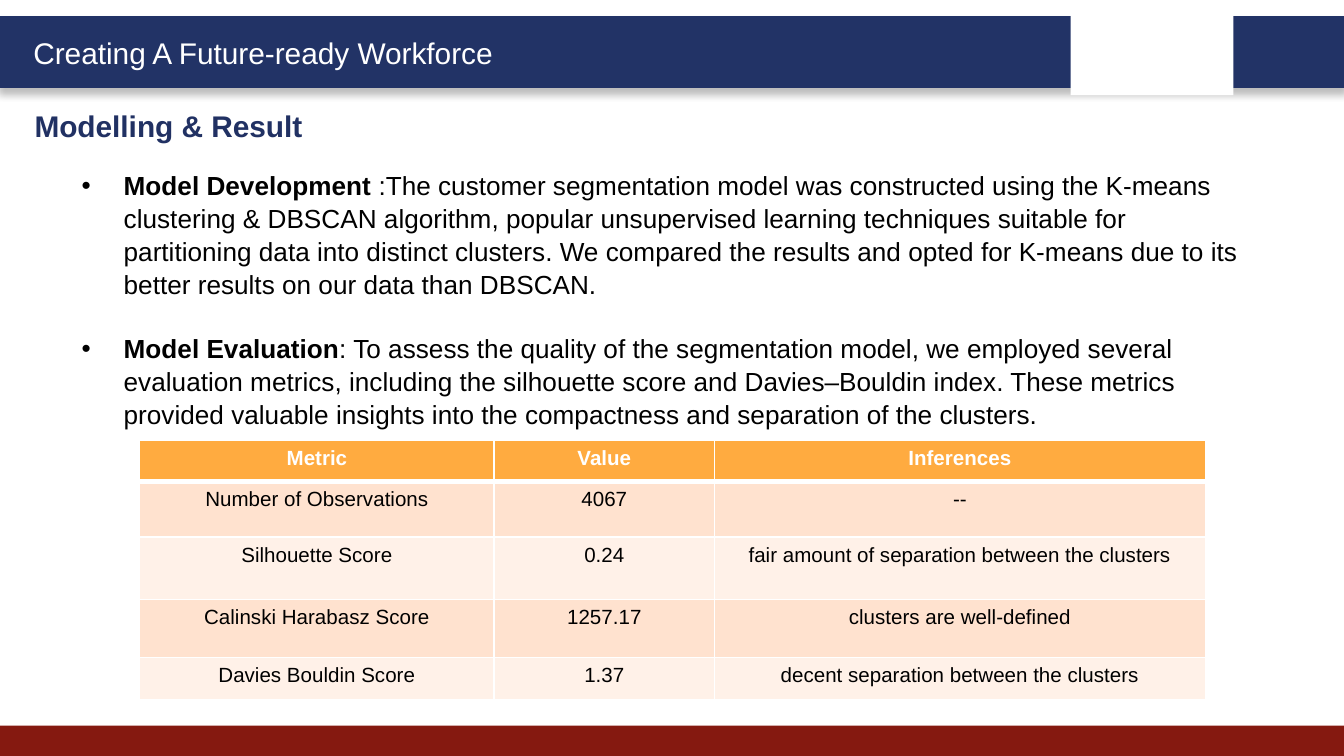
"""Build the Modelling & Result slide."""
from lxml import etree
from pptx import Presentation
from pptx.dml.color import RGBColor
from pptx.enum.shapes import MSO_SHAPE
from pptx.enum.text import MSO_ANCHOR, PP_ALIGN
from pptx.oxml.ns import qn
from pptx.util import Pt

RECTANGLE = MSO_SHAPE.RECTANGLE
TOP = MSO_ANCHOR.TOP
LEFT, CENTER = PP_ALIGN.LEFT, PP_ALIGN.CENTER

COLORS = {
    "navy": "223366",
    "title": "213163",
    "maroon": "851910",
    "white": "FFFFFF",
    "black": "000000",
    "orange": "FFAB40",
    "peach": "FFE2CF",
    "cream": "FFF1E8",
}

BULLETS = [
    ("Model Development ",
     ":The customer segmentation model was constructed using the K-means clustering & DBSCAN "
     "algorithm, popular unsupervised learning techniques suitable for partitioning data into "
     "distinct clusters. We compared the results and opted for K-means due to its better results "
     "on our data than DBSCAN."),
    ("Model Evaluation",
     ": To assess the quality of the segmentation model, we employed several evaluation metrics, "
     "including the silhouette score and Davies–Bouldin index. These metrics provided valuable "
     "insights into the compactness and separation of the clusters."),
]

METRICS = [
    ("Metric", "Value", "Inferences"),
    ("Number of Observations", "4067", "--"),
    ("Silhouette Score", "0.24", "fair amount of separation between the clusters"),
    ("Calinski Harabasz Score", "1257.17", "clusters are well-defined"),
    ("Davies Bouldin Score", "1.37", "decent separation between the clusters"),
]
COLUMN_WIDTHS = [190, 118, 263]
ROW_HEIGHTS = [22.4, 29.6, 33.6, 31, 23]


def add_element(parent, tag, **attributes):
    """Append a DrawingML element and return it."""
    return etree.SubElement(parent, qn(tag), {name: str(value) for name, value in attributes.items()})


class SlideBuilder:
    """Hold the style and the current slide."""

    font = "Arial"

    def __init__(self, page):
        self.page = page

    def color(self, name):
        """Return a named colour."""
        return RGBColor.from_string(COLORS[name])

    def span(self, para, text, size, color, bold=False):
        """Add a formatted run to a paragraph."""
        span = para.add_run()
        span.text = text
        span.font.name = self.font
        span.font.size = Pt(size)
        span.font.bold = bold
        span.font.color.rgb = self.color(color)

    def bar(self, left, top, width, height, fill, line_width=0, shadow=False):
        """Add a plain rectangle."""
        bar = self.page.shapes.add_shape(RECTANGLE, Pt(left), Pt(top), Pt(width), Pt(height))
        bar.shadow.inherit = False
        bar.fill.solid()
        bar.fill.fore_color.rgb = self.color(fill)
        if line_width:
            bar.line.color.rgb = self.color(fill)
            bar.line.width = Pt(line_width)
        else:
            bar.line.fill.background()
        if shadow:
            effects = bar._element.spPr.find(qn("a:effectLst"))
            outer = add_element(effects, "a:outerShdw", blurRad=Pt(4), dist=Pt(3),
                                dir=90 * 60000, rotWithShape=0)
            tint = add_element(outer, "a:srgbClr", val=COLORS["black"])
            add_element(tint, "a:alpha", val=25000)

    def text(self, left, top, width, height):
        """Add a wrapping text box and return its frame."""
        box = self.page.shapes.add_textbox(Pt(left), Pt(top), Pt(width), Pt(height))
        box.text_frame.word_wrap = True
        return box.text_frame

    def label(self, left, top, width, height, text, size, color):
        """Add a one-line text box."""
        frame = self.text(left, top, width, height)
        self.span(frame.paragraphs[0], text, size, color)

    def title(self, left, top, width, height, text, size):
        """Place and fill the title placeholder."""
        box = self.page.shapes.title
        box.left, box.top, box.width, box.height = Pt(left), Pt(top), Pt(width), Pt(height)
        box.text_frame.vertical_anchor = TOP
        para = box.text_frame.paragraphs[0]
        para.alignment = LEFT
        self.span(para, text, size, "title", bold=True)

    def bullets(self, left, top, width, height, items, size, gap):
        """Add bulleted paragraphs with a bold lead."""
        frame = self.text(left, top, width, height)
        for index, (lead, detail) in enumerate(items):
            para = frame.add_paragraph() if index else frame.paragraphs[0]
            para.line_spacing = 1.05
            if index:
                para.space_before = Pt(gap)
            properties = para._p.get_or_add_pPr()
            properties.set("marL", str(Pt(22.5)))
            properties.set("indent", str(Pt(-22.5)))
            tint = add_element(properties, "a:buClr")
            add_element(tint, "a:srgbClr", val=COLORS["black"])
            add_element(properties, "a:buFont", typeface=self.font)
            add_element(properties, "a:buChar", char="•")
            self.span(para, lead, size, "black", bold=True)
            self.span(para, detail, size, "black")

    def border(self, cell, side, width):
        """Draw one white cell border."""
        line = add_element(cell._tc.get_or_add_tcPr(), f"a:ln{side}", w=Pt(width))
        fill = add_element(line, "a:solidFill")
        add_element(fill, "a:srgbClr", val=COLORS["white"])

    def table(self, left, top, widths, heights, rows, size):
        """Add a table with a header and alternating row fills."""
        frame = self.page.shapes.add_table(len(rows), len(widths), Pt(left), Pt(top),
                                           Pt(sum(widths)), Pt(sum(heights)))
        table = frame.table
        for column, width in zip(table.columns, widths):
            column.width = Pt(width)
        for index, (row, height, texts) in enumerate(zip(table.rows, heights, rows)):
            row.height = Pt(height)
            header = index == 0
            fill = "orange" if header else ("cream", "peach")[index % 2]
            for cell, text in zip(row.cells, texts):
                for side in "LRTB":
                    heavy = (index, side) in ((0, "B"), (1, "T"))
                    self.border(cell, side, 3 if heavy else 1)
                cell.fill.solid()
                cell.fill.fore_color.rgb = self.color(fill)
                para = cell.text_frame.paragraphs[0]
                para.alignment = CENTER
                self.span(para, text, size, "white" if header else "black", bold=header)


def main():
    """Build and save the deck."""
    deck = Presentation()
    deck.slide_width, deck.slide_height = Pt(720), Pt(405)
    builder = SlideBuilder(deck.slides.add_slide(deck.slide_layouts[5]))
    builder.bar(0, 9.5, 720, 36.7, "navy", line_width=2, shadow=True)
    builder.bar(0, 388.8, 720, 16.2, "maroon")
    builder.bar(573.6, 5, 87.2, 46, "white")
    builder.label(10.8, 15.1, 272, 26.6, "Creating A Future-ready Workforce", 16, "white")
    builder.title(11.3, 54, 348.5, 26.6, "Modelling & Result", 16)
    builder.bullets(36.7, 86.4, 645.8, 143.3, BULLETS, 14, gap=16.9)
    builder.table(74.8, 235.6, COLUMN_WIDTHS, ROW_HEIGHTS, METRICS, 11)
    deck.save("out.pptx")


if __name__ == "__main__":
    main()
